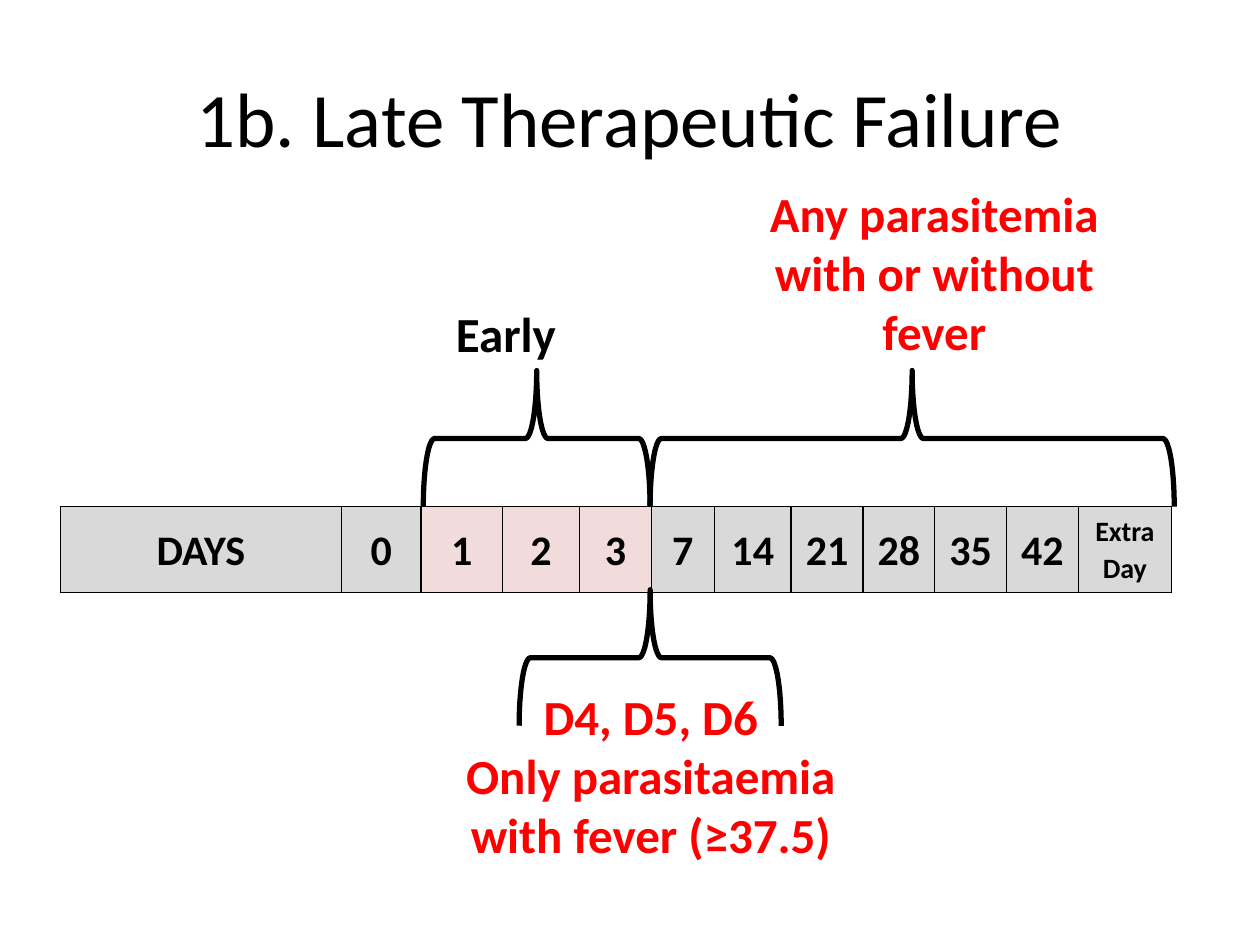
import pptx
import pptx.util
import pptx.dml.color
import pptx.enum.shapes
import pptx.enum.text
import pptx.oxml
import pptx.oxml.ns

Inches, Pt = pptx.util.Inches, pptx.util.Pt
RGBColor = pptx.dml.color.RGBColor
ALIGN = pptx.enum.text.PP_ALIGN
ANCHOR = pptx.enum.text.MSO_ANCHOR

BLACK = RGBColor(0x00, 0x00, 0x00)
RED = RGBColor(0xFF, 0x00, 0x00)
GREY = RGBColor(0xD9, 0xD9, 0xD9)
PINK = RGBColor(0xF2, 0xDC, 0xDB)

# Content: each day with its column width
DAYS = [("DAYS", 2.23), ("0", 0.63), ("1", 0.65), ("2", 0.61), ("3", 0.57),
        ("7", 0.5), ("14", 0.61), ("21", 0.57), ("28", 0.57), ("35", 0.57),
        ("42", 0.57), ("Extra Day", 0.74)]
EARLY = ("1", "2", "3")
LEFT, TOP, HIGH = 0.48, 4.02, 0.66

# Text, box, size, bold, colour, alignment, anchor
TEXTS = [
    ("1b. Late Therapeutic Failure", (0.5, 0.3, 9, 1.25),
     44, False, BLACK, ALIGN.CENTER, ANCHOR.MIDDLE),
    ("Any parasitemia\nwith or without fever", (5.67, 1.41, 3.49, 1.51),
     28, True, RED, ALIGN.CENTER, ANCHOR.TOP),
    ("D4, D5, D6\nOnly parasitaemia with fever (≥37.5)", (3.33, 5.4, 3.67, 1.51),
     28, True, RED, ALIGN.CENTER, ANCHOR.TOP),
    ("Early", (3.52, 2.36, 1.48, 0.57),
     28, True, BLACK, ALIGN.LEFT, ANCHOR.TOP),
]

# Braces as drawn: left edge, right edge, top
DEPTH = 1.08
BRACES = [(3.36, 5.16, 2.94), (5.16, 9.32, 2.94), (4.12, 6.2, 4.68)]


def style(par, size, bold, color, align):
    par.alignment = align
    for run in par.runs:
        font = run.font
        font.name, font.size, font.bold = "Calibri", Pt(size), bold
        font.color.rgb = color


def add_text(slide, text, box, size, bold, color, align, anchor):
    frame = slide.shapes.add_textbox(*map(Inches, box)).text_frame
    frame.word_wrap = True
    frame.vertical_anchor = anchor
    frame.text = text
    for par in frame.paragraphs:
        style(par, size, bold, color, align)


def add_brace(slide, left, right, top):
    # The shape is upright before its turn, so it is placed by its centre
    span = right - left
    x = (left + right - DEPTH) / 2
    y = top + (DEPTH - span) / 2
    brace = slide.shapes.add_shape(
        pptx.enum.shapes.MSO_SHAPE.RIGHT_BRACE,
        Inches(x), Inches(y), Inches(DEPTH), Inches(span))
    brace.rotation = 270
    brace.shadow.inherit = False
    brace.fill.background()
    brace.line.color.rgb = BLACK
    brace.line.width = Pt(3)


def add_border(cell):
    props = cell._tc.get_or_add_tcPr()
    for i, side in enumerate(("lnL", "lnR", "lnT", "lnB")):
        props.insert(i, pptx.oxml.parse_xml(
            f'<a:{side} {pptx.oxml.ns.nsdecls("a")} w="12700"><a:solidFill>'
            f'<a:srgbClr val="{BLACK}"/></a:solidFill></a:{side}>'))


def add_days(slide):
    wide = sum(w for _, w in DAYS)
    table = slide.shapes.add_table(
        1, len(DAYS), Inches(LEFT), Inches(TOP), Inches(wide), Inches(HIGH)).table
    table.first_row = table.horz_banding = False
    for i, (day, width) in enumerate(DAYS):
        table.columns[i].width = Inches(width)
        cell = table.cell(0, i)
        cell.text_frame.text = day
        cell.vertical_anchor = ANCHOR.MIDDLE
        cell.margin_left = cell.margin_right = Inches(0.07)
        cell.fill.solid()
        cell.fill.fore_color.rgb = PINK if day in EARLY else GREY
        par = cell.text_frame.paragraphs[0]
        par.line_spacing, par.space_after = 1.07, Pt(8)
        style(par, 16 if day == "Extra Day" else 24, True, BLACK, ALIGN.CENTER)
        add_border(cell)


def main():
    deck = pptx.Presentation()
    deck.slide_width, deck.slide_height = Inches(10), Inches(7.5)
    slide = deck.slides.add_slide(deck.slide_layouts[6])
    add_days(slide)
    for brace in BRACES:
        add_brace(slide, *brace)
    for text in TEXTS:
        add_text(slide, *text)
    deck.save("out.pptx")


if __name__ == "__main__":
    main()
